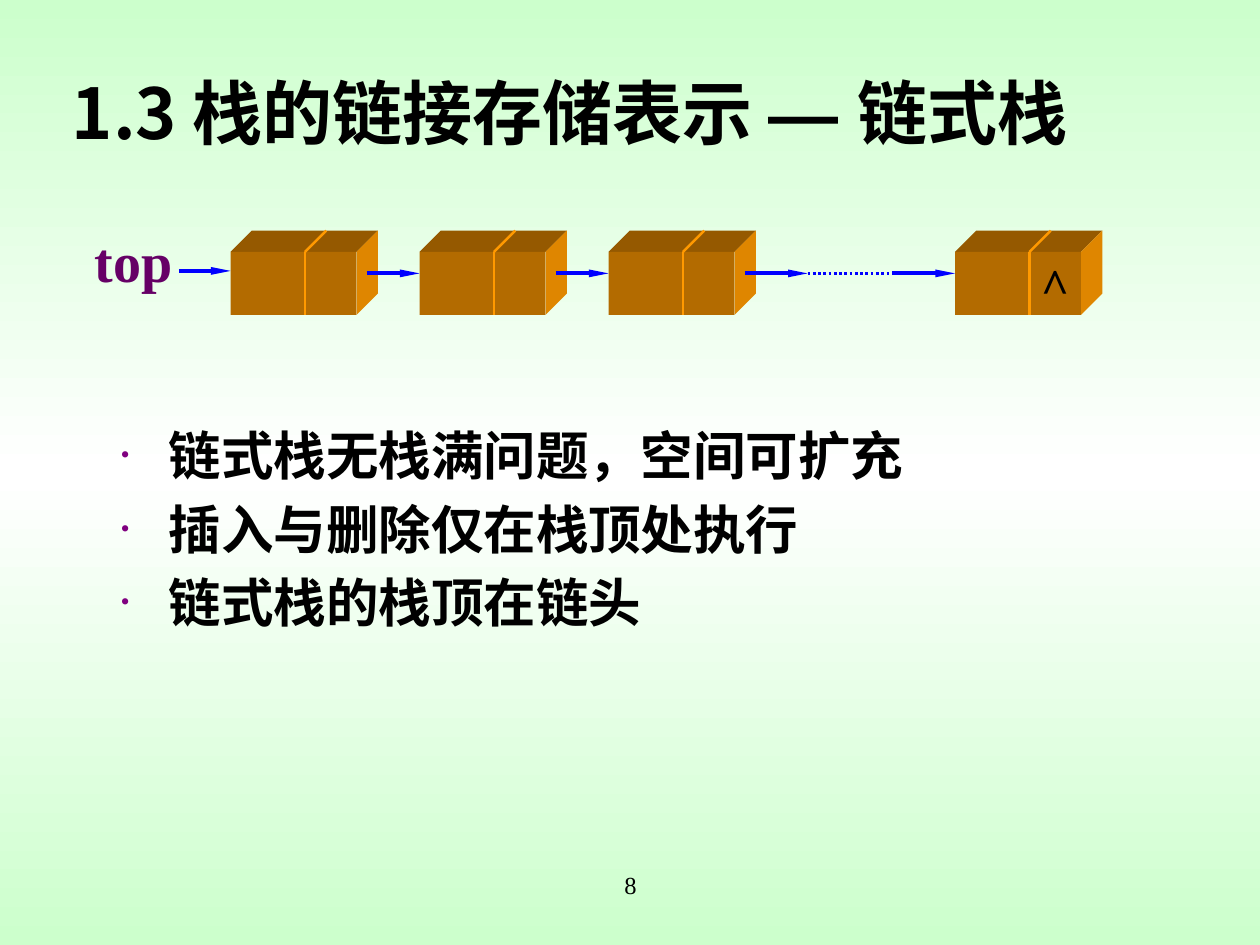
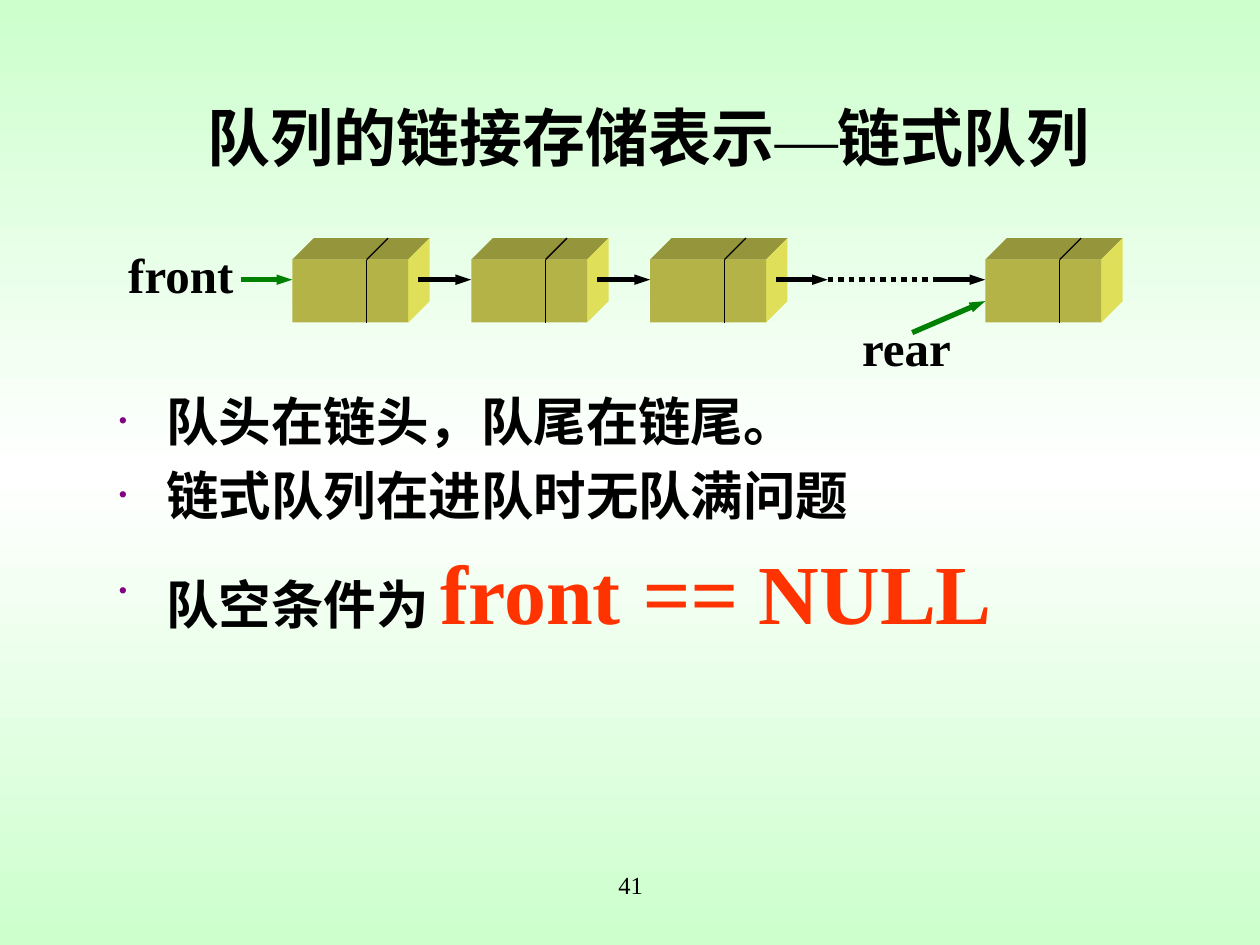
from copy import deepcopy
from dataclasses import dataclass

from lxml import etree
from pptx import Presentation
from pptx import util as u
from pptx.dml.color import RGBColor
from pptx.enum import dml, lang, shapes, text
from pptx.oxml.ns import qn

Inches, Pt = u.Inches, u.Pt


# Theme: colours, fonts and type sizes
@dataclass(frozen=True)
class Theme:
    edge: str = "CCFFCC"
    middle: str = "FFFFFF"
    ink: str = "000000"
    bullet: str = "800080"
    purple: str = "660066"
    blue: str = "0000FF"
    green: str = "008000"
    red: str = "FF3300"
    orange: str = "FF9900"
    cjk: str = "Noto Sans CJK JP"
    serif: str = "Times New Roman"
    sans: str = "Arial"
    body: int = 30
    condition: int = 48
    mark: int = 28
    number: int = 14


THEME = Theme()


@dataclass(frozen=True)
class Style:
    size: float
    color: str = THEME.ink
    latin: str = THEME.serif
    asian: str = THEME.cjk
    bold: bool = True
    italic: bool = False


@dataclass(frozen=True)
class Span:
    text: str
    style: Style


@dataclass(frozen=True)
class Box:
    left: float
    top: float
    width: float
    height: float


@dataclass(frozen=True)
class Stroke:
    color: str
    width: float
    dotted: bool = False
    head: str = ""  # arrowhead length: med or lg


@dataclass(frozen=True)
class Item:
    spans: tuple[Span, ...]
    line: float = 36
    before: float = 6


@dataclass(frozen=True)
class Label:
    text: str
    box: Box
    style: Style


@dataclass(frozen=True)
class Chain:
    """A row of linked nodes: three near the head, a dotted gap, then the last."""
    first: float
    pitch: float
    last: float
    top: float
    width: float
    faces: tuple[str, str, str]  # front, top, side
    divider: Stroke
    entry: Stroke
    entry_y: float
    link: Stroke
    link_y: float
    dots: Stroke
    stub: float
    last_mark: str = ""

    def lefts(self) -> list[float]:
        return [self.first + i * self.pitch for i in range(3)] + [self.last]


NODE_HEIGHT, DEPTH, DIVIDER_AT = 0.5, 0.17, 0.59
ENTRY_LENGTH, LINK_INSET = 0.41, 0.08


# Text
def format_font(font, style: Style) -> None:
    font.size, font.bold, font.italic = Pt(style.size), style.bold, style.italic
    font.color.rgb = RGBColor.from_string(style.color)
    font.name = style.latin
    font.language_id = lang.MSO_LANGUAGE_ID.SIMPLIFIED_CHINESE
    latin = font._element.find(qn("a:latin"))
    asian = etree.Element(qn("a:ea"), typeface=style.asian)
    latin.addnext(asian)


def write(paragraph, spans: tuple[Span, ...]) -> None:
    styles = {span.style for span in spans}
    if len(styles) == 1:
        format_font(paragraph.font, spans[0].style)
    for span in spans:
        run = paragraph.add_run()
        run.text = span.text
        if len(styles) > 1:
            format_font(run.font, span.style)


def place(shape, box: Box) -> None:
    shape.left, shape.top = Inches(box.left), Inches(box.top)
    shape.width, shape.height = Inches(box.width), Inches(box.height)


def add_text(slide, box: Box, wrap: bool = True):
    shape = slide.shapes.add_textbox(0, 0, 0, 0)
    place(shape, box)
    shape.text_frame.word_wrap = wrap
    return shape.text_frame


def add_label(slide, label: Label, wrap: bool = False) -> None:
    paragraph = add_text(slide, label.box, wrap).paragraphs[0]
    paragraph.alignment = text.PP_ALIGN.CENTER
    write(paragraph, (Span(label.text, label.style),))


def set_bullet(paragraph) -> None:
    properties = paragraph._p.get_or_add_pPr()
    properties.set("marL", str(Inches(0.38)))
    properties.set("indent", str(-Inches(0.38)))
    color = etree.SubElement(properties, qn("a:buClr"))
    etree.SubElement(color, qn("a:srgbClr"), val=THEME.bullet)
    etree.SubElement(properties, qn("a:buSzPct"), val="50000")
    etree.SubElement(properties, qn("a:buFont"), typeface=THEME.serif)
    etree.SubElement(properties, qn("a:buChar"), char="•")


def add_bullets(slide, box: Box, items: list[Item]) -> None:
    frame = add_text(slide, box)
    for index, item in enumerate(items):
        paragraph = frame.add_paragraph() if index else frame.paragraphs[0]
        set_bullet(paragraph)
        paragraph.line_spacing = Pt(item.line)
        paragraph.space_before = Pt(item.before)
        write(paragraph, item.spans)


# Lines and nodes
def add_line(slide, start: tuple[float, float], end: tuple[float, float],
             stroke: Stroke) -> None:
    connector = slide.shapes.add_connector(
        shapes.MSO_CONNECTOR.STRAIGHT, *map(Inches, start + end))
    line = connector.line
    line.color.rgb = RGBColor.from_string(stroke.color)
    line.width = Pt(stroke.width)
    if stroke.dotted:
        line.dash_style = dml.MSO_LINE.ROUND_DOT
    properties = connector._element.spPr
    if stroke.head:
        etree.SubElement(properties.find(qn("a:ln")), qn("a:tailEnd"),
                         type="triangle", w="sm", len=stroke.head)
    etree.SubElement(properties, qn("a:effectLst"))


def paint(shape, color: str) -> None:
    shape.fill.solid()
    shape.fill.fore_color.rgb = RGBColor.from_string(color)
    shape.line.fill.background()
    shape.shadow.inherit = False


def add_face(slide, points: list[tuple[float, float]], color: str) -> None:
    corners = [(Inches(x), Inches(y)) for x, y in points]
    builder = slide.shapes.build_freeform(*corners[0])
    builder.add_line_segments(corners[1:], close=True)
    paint(builder.convert_to_shape(), color)


def add_node(slide, chain: Chain, left: float, mark: str) -> None:
    top, right, bottom = chain.top, left + chain.width, chain.top + NODE_HEIGHT
    back = top - DEPTH
    front_color, top_color, side_color = chain.faces
    add_face(slide, [(left, top), (left + DEPTH, back),
                     (right + DEPTH, back), (right, top)], top_color)
    add_face(slide, [(right, top), (right + DEPTH, back),
                     (right + DEPTH, bottom - DEPTH), (right, bottom)], side_color)
    front = slide.shapes.add_shape(shapes.MSO_SHAPE.RECTANGLE, 0, 0, 0, 0)
    place(front, Box(left, top, chain.width, NODE_HEIGHT))
    paint(front, front_color)
    if mark:
        frame = front.text_frame
        frame.word_wrap = False
        frame.vertical_anchor = text.MSO_ANCHOR.MIDDLE
        frame.margin_left, frame.margin_right = Inches(DIVIDER_AT), 0
        frame.paragraphs[0].alignment = text.PP_ALIGN.CENTER
        write(frame.paragraphs[0], (Span(mark, Style(THEME.mark)),))
    divider = left + DIVIDER_AT
    add_line(slide, (divider, top), (divider, bottom), chain.divider)
    add_line(slide, (divider, top), (divider + DEPTH, back), chain.divider)


def add_chain(slide, chain: Chain) -> None:
    lefts = chain.lefts()
    for left in lefts:
        add_node(slide, chain, left, chain.last_mark if left == chain.last else "")
    add_line(slide, (chain.first - ENTRY_LENGTH, chain.entry_y),
             (chain.first, chain.entry_y), chain.entry)
    y = chain.link_y
    exits = [left + chain.width + LINK_INSET for left in lefts[:3]]
    gap_start, gap_end = exits[-1] + chain.stub, chain.last - chain.stub
    links = list(zip(exits, lefts[1:3])) + [(exits[-1], gap_start), (gap_end, chain.last)]
    for start, end in links:
        add_line(slide, (start, y), (end, y), chain.link)
    add_line(slide, (gap_start, y), (gap_end, y), chain.dots)


# Shared slide parts
def set_background(master) -> None:
    fill = master.background.fill
    fill.gradient()
    fill.gradient_angle = 90
    stops = master.element.find(".//" + qn("a:gsLst"))
    stops.append(deepcopy(stops[-1]))
    for stop, position, color in zip(fill.gradient_stops, (0, 0.5, 1),
                                     (THEME.edge, THEME.middle, THEME.edge)):
        stop.position = position
        stop.color.rgb = RGBColor.from_string(color)


def add_slide(presentation, number: str, box: Box, spans: tuple[Span, ...],
              alignment, margin_left: float = 0.1):
    slide = presentation.slides.add_slide(presentation.slide_layouts[5])
    title = slide.shapes.title
    place(title, box)
    frame = title.text_frame
    frame.auto_size = text.MSO_AUTO_SIZE.NONE
    frame.vertical_anchor = text.MSO_ANCHOR.MIDDLE
    frame.margin_left = Inches(margin_left)
    frame.paragraphs[0].alignment = alignment
    write(frame.paragraphs[0], spans)
    number_style = Style(THEME.number, bold=False)
    add_label(slide, Label(number, Box(3.42, 6.86, 3.17, 0.5), number_style), wrap=True)
    return slide


def main() -> None:
    presentation = Presentation()
    presentation.slide_width, presentation.slide_height = Inches(10), Inches(7.5)
    set_background(presentation.slide_master)
    body = Style(THEME.body)

    # Linked stack
    heading = Style(40, latin=THEME.cjk)
    dash = Style(40, latin=THEME.sans, asian=THEME.sans)
    slide = add_slide(
        presentation, "8", Box(0.47, 0.47, 9.3, 0.83),
        (Span("1.3 栈的链接存储表示 ", heading), Span("— ", dash), Span("链式栈", heading)),
        text.PP_ALIGN.LEFT)
    lines = ("链式栈无栈满问题，空间可扩充", "插入与删除仅在栈顶处执行", "链式栈的栈顶在链头")
    add_bullets(slide, Box(0.86, 3.31, 8.25, 2.92),
                [Item((Span(line, body),)) for line in lines])
    add_label(slide, Label("top", Box(0.65, 1.75, 0.82, 0.63), Style(32, THEME.purple)))
    blue_arrow = Stroke(THEME.blue, 2.25, head="lg")
    add_chain(slide, Chain(
        first=1.83, pitch=1.5, last=7.58, top=2, width=1,
        faces=("B36B00", "955900", "DF8600"), divider=Stroke(THEME.orange, 1.5),
        entry=blue_arrow, entry_y=2.15, link=blue_arrow, link_y=2.17,
        dots=Stroke(THEME.blue, 1.5, dotted=True), stub=0.5, last_mark="^"))

    # Linked queue
    heading = Style(36, latin=THEME.cjk)
    dash = Style(36, asian=THEME.serif, bold=False)
    slide = add_slide(
        presentation, "41", Box(0.39, 0.63, 9.3, 0.91),
        (Span("队列的链接存储表示", heading), Span("—", dash), Span("链式队列", heading)),
        text.PP_ALIGN.CENTER, margin_left=0.32)
    code = Style(THEME.condition, THEME.red)
    operator = Style(THEME.condition, THEME.red, italic=True)
    condition = (Span("队空条件为 ", body), Span("front ", code),
                 Span("==", operator), Span(" NULL", code))
    add_bullets(slide, Box(0.84, 3.04, 8.65, 2.68), [
        Item((Span("队头在链头，队尾在链尾。", body),)),
        Item((Span("链式队列在进队时无队满问题", body),)),
        Item(condition, line=57, before=9)])
    green_arrow = Stroke(THEME.green, 3, head="med")
    add_chain(slide, Chain(
        first=2.32, pitch=1.42, last=7.82, top=2.06, width=0.92,
        faces=("B3B347", "95953B", "DFDF59"), divider=Stroke(THEME.ink, 0.75),
        entry=green_arrow, entry_y=2.22, link=Stroke(THEME.ink, 3, head="med"),
        link_y=2.22, dots=Stroke(THEME.ink, 3, dotted=True), stub=0.41))
    for label in (Label("front", Box(0.91, 1.89, 1.05, 0.57), Style(THEME.mark)),
                  Label("rear", Box(6.74, 2.47, 0.91, 0.57), Style(THEME.mark))):
        add_label(slide, label)
    add_line(slide, (7.24, 2.64), (7.82, 2.39), green_arrow)

    presentation.save("out.pptx")


if __name__ == "__main__":
    main()
